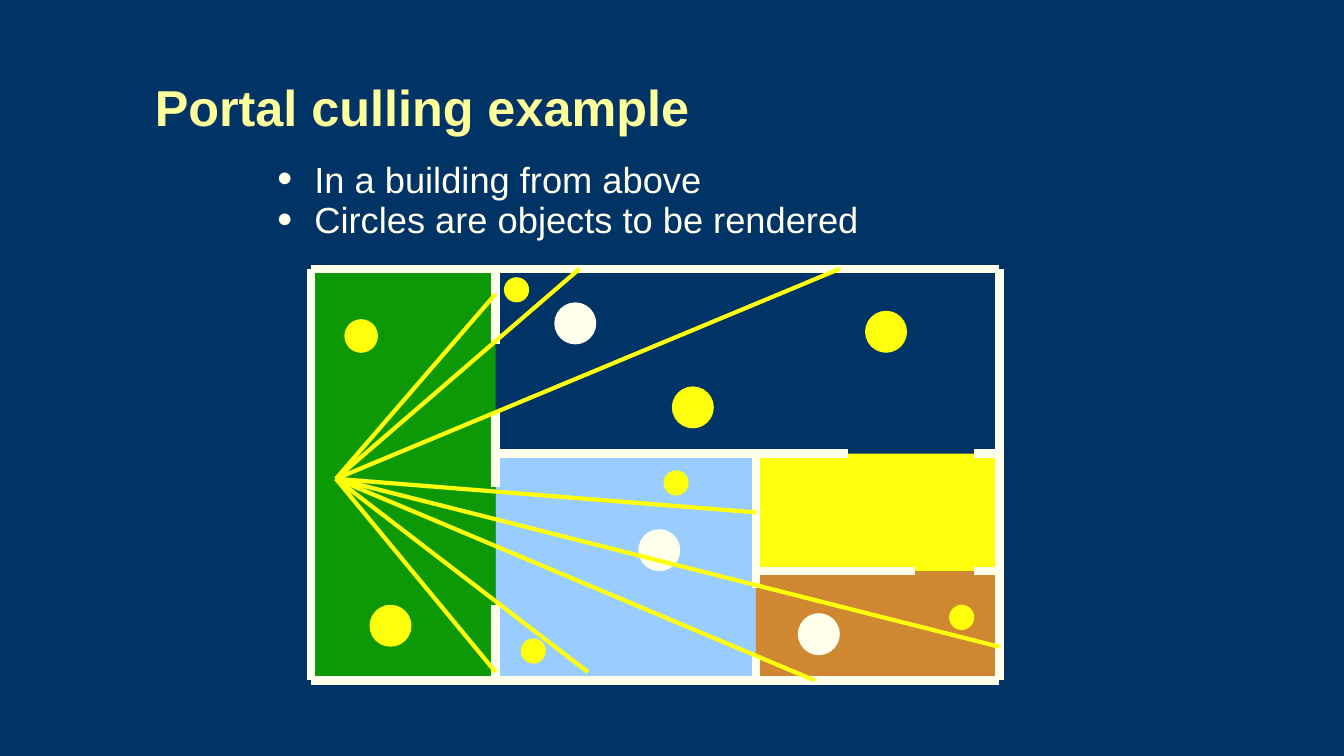
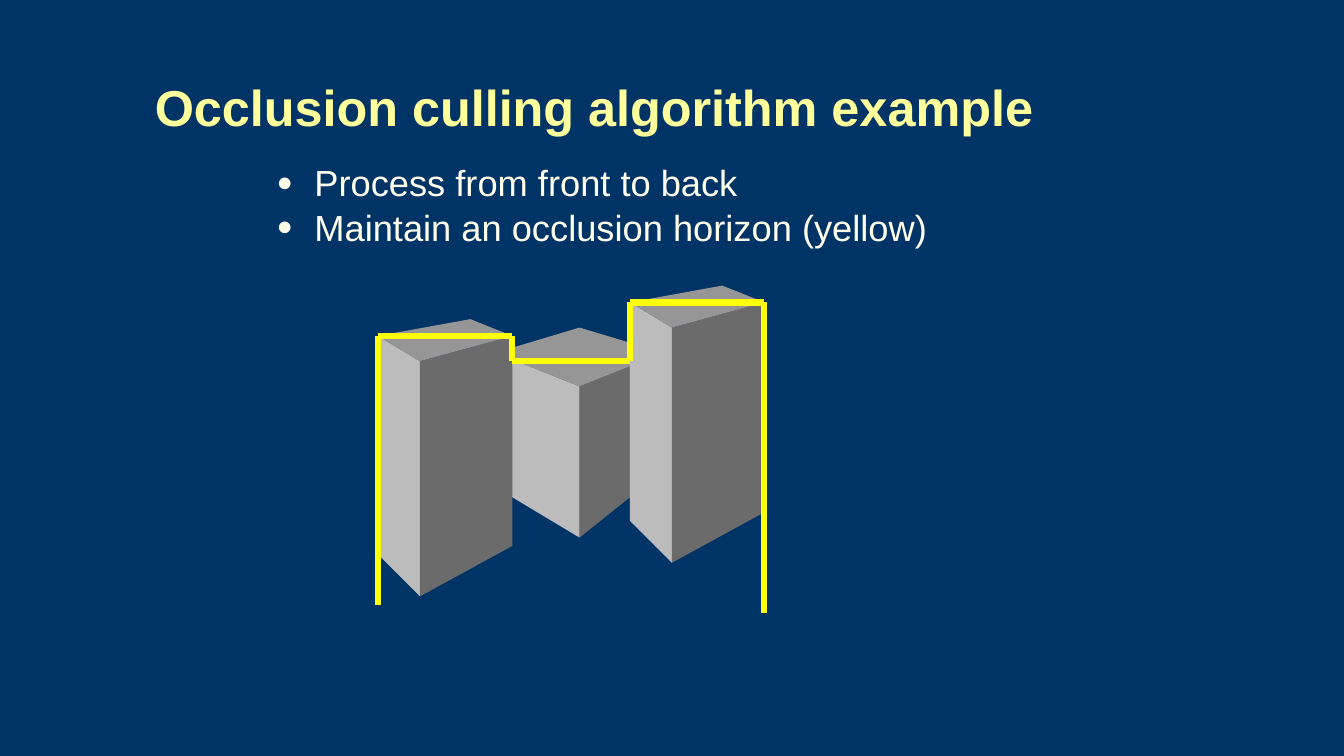
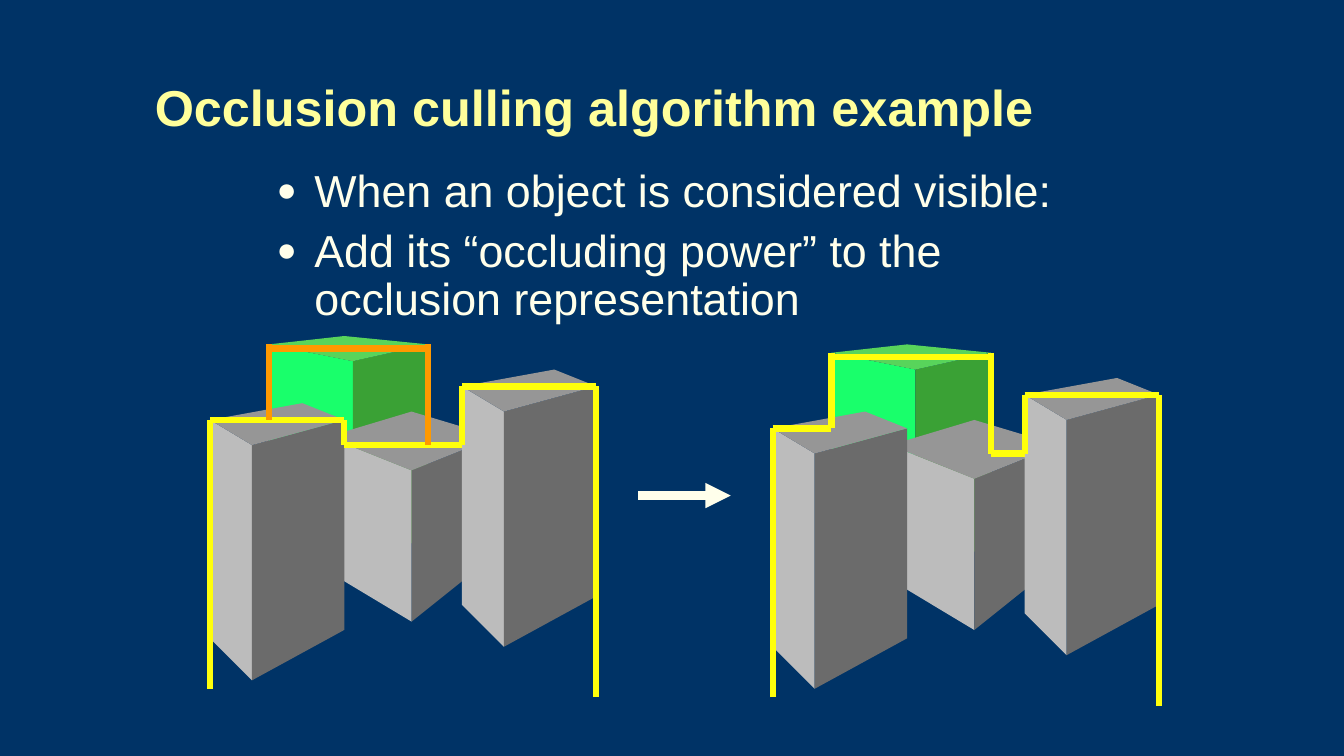
import dataclasses
import itertools

import pptx
import pptx.dml.color
import pptx.enum.shapes
import pptx.enum.text
import pptx.oxml.ns
import pptx.util
from lxml import etree

EMU_PER_PX = 9525  # 96 px to the inch
SLIDE_SIZE = (12193588, 6858000)  # EMU
BLANK_LAYOUT = 6


@dataclasses.dataclass(frozen=True)
class Theme:
    font: str = "Arial"
    background: str = "003366"
    title: str = "FFFF9B"
    ink: str = "FFFFEB"
    yellow: str = "FFFF0B"
    orange: str = "FF9900"
    green_room: str = "0C9905"
    blue_room: str = "99CCFF"
    brown_room: str = "CF8831"
    # Face colours: left, right, top
    grey_faces: tuple = ("BCBCBC", "6B6B6B", "969696")
    green_faces: tuple = ("19FF6B", "3AA135", "58D45B")
    title_size: float = 36
    small_body: float = 25.9
    large_body: float = 32
    wall_width: float = 6
    horizon_width: float = 4.5
    ray_width: float = 3


THEME = Theme()


@dataclasses.dataclass(frozen=True)
class Block:
    """A building: roof corners and base heights, measured from its left roof corner."""
    front: tuple
    right: tuple
    back: tuple
    bases: tuple  # y of the left, front and right base corners


TOWER = Block((40, 24), (128, 0), (88, -16), (208, 248, 200))
LOW_BLOCK = Block((80, 32), (160, 0), (80, -24), (128, 176, 112))
GREEN_BLOCK = Block((80, 16), (152, 0), (72, -8), (184, 208, 184))

# Horizon outlines, relative to the city box
LEFT_POST = [(0, 304), (0, 48)]
RIGHT_END = [(240, 72), (240, 16), (368, 16), (368, 312)]
GREY_HORIZON = [LEFT_POST + [(128, 48), (128, 72)] + RIGHT_END]
GREEN_LEFT = [(56, 48), (56, -24)]
GREEN_RIGHT = [(208, -24), (208, 72)]
GREEN_TOP = [(56, -20), (208, -20)]
GREEN_HORIZON = [GREEN_LEFT, GREEN_RIGHT, GREEN_TOP]
MERGED_HORIZON = [LEFT_POST + GREEN_LEFT, GREEN_RIGHT + RIGHT_END, GREEN_TOP]


def px(value):
    return pptx.util.Emu(round(value * EMU_PER_PX))


def rgb(color):
    return pptx.dml.color.RGBColor.from_string(color)


# Basic parts
def paint(shape, color):
    shape.shadow.inherit = False
    shape.fill.solid()
    shape.fill.fore_color.rgb = rgb(color)
    shape.line.fill.background()


def add_preset(slide, kind, left, top, width, height, color):
    paint(slide.shapes.add_shape(kind, px(left), px(top), px(width), px(height)), color)


def add_polygon(slide, points, color):
    builder = slide.shapes.build_freeform(*points[0], scale=EMU_PER_PX)
    builder.add_line_segments(points[1:], close=True)
    paint(builder.convert_to_shape(), color)


def add_line(slide, start, end, color, width, arrow=False):
    connector = slide.shapes.add_connector(
        pptx.enum.shapes.MSO_CONNECTOR.STRAIGHT, *map(px, (*start, *end)))
    connector.line.color.rgb = rgb(color)
    connector.line.width = pptx.util.Pt(width)
    if arrow:
        etree.SubElement(connector.line._get_or_add_ln(),
                         pptx.oxml.ns.qn("a:tailEnd"), type="triangle")
    etree.SubElement(connector._element.spPr, pptx.oxml.ns.qn("a:effectLst"))


def add_text(slide, left, top, width, height, lines, size, color, spacing, bold=False):
    text_frame = slide.shapes.add_textbox(px(left), px(top), px(width), px(height)).text_frame
    text_frame.word_wrap = True
    text_frame.text = "\n".join(lines)
    for paragraph in text_frame.paragraphs:
        paragraph.line_spacing = spacing
        for run in paragraph.runs:
            run.font.name = THEME.font
            run.font.size = pptx.util.Pt(size)
            run.font.bold = bold
            run.font.color.rgb = rgb(color)
    return text_frame


def add_bullet(paragraph):
    properties = paragraph._p.get_or_add_pPr()
    properties.set("marL", str(px(36)))
    properties.set("indent", str(px(-36)))
    bullet_color = etree.SubElement(properties, pptx.oxml.ns.qn("a:buClr"))
    etree.SubElement(bullet_color, pptx.oxml.ns.qn("a:srgbClr"), val=THEME.ink)
    etree.SubElement(properties, pptx.oxml.ns.qn("a:buSzPct"), val="75000")
    etree.SubElement(properties, pptx.oxml.ns.qn("a:buFont"), typeface=THEME.font)
    etree.SubElement(properties, pptx.oxml.ns.qn("a:buChar"), char="●")


# Title and bullets, shared by all slides
def add_text_slide(presentation, title, bullets, height, size, spacing, gap):
    slide = presentation.slides.add_slide(presentation.slide_layouts[BLANK_LAYOUT])
    heading = add_text(slide, 138, 16, 1120, 120, [title], THEME.title_size,
                       THEME.title, 0.9, bold=True)
    heading.vertical_anchor = pptx.enum.text.MSO_ANCHOR.BOTTOM
    body = add_text(slide, 254, 156, 840, height, bullets, size, THEME.ink, spacing)
    for index, paragraph in enumerate(body.paragraphs):
        if index:
            paragraph.space_before = pptx.util.Pt(gap)
        add_bullet(paragraph)
    return slide


# Floor plan with the view rays
def add_floor_plan(slide, left, top, width, height):
    hall, side, middle, lower = 176, 424, 176, 288  # inner wall positions
    rooms = [
        (side, middle, width, lower, THEME.yellow),
        (hall, middle, side, height, THEME.blue_room),
        (side, lower, width, height, THEME.brown_room),
        (0, 0, hall, height, THEME.green_room),
    ]
    walls = [
        (0, 0, 0, height), (0, height, width, height),
        (0, 0, width, 0), (width, 0, width, height),
        (hall, 0, hall, 72), (hall, 136, hall, 208), (hall, 320, hall, height),
        (hall, middle, 512, middle), (632, middle, width, middle),
        (side, middle, side, 304), (side, 368, side, height),
        (side, lower, 576, lower), (632, lower, width, lower),
    ]
    hidden = [(32, 48, 32), (56, 320, 40), (184, 8, 24), (344, 112, 40), (528, 40, 40),
              (336, 192, 24), (200, 352, 24), (608, 320, 24)]
    visible = [(232, 32, 40), (312, 248, 40), (464, 328, 40)]
    viewer = (24, 200)
    ray_ends = [(hall, 24), (hall, 384), (256, 0), (504, 0),
                (side, 232), (264, 384), (480, height), (width, 360)]

    for x1, y1, x2, y2, color in rooms:
        add_preset(slide, pptx.enum.shapes.MSO_SHAPE.RECTANGLE,
                   left + x1, top + y1, x2 - x1, y2 - y1, color)
    for x1, y1, x2, y2 in walls:
        add_line(slide, (left + x1, top + y1), (left + x2, top + y2),
                 THEME.ink, THEME.wall_width)
    for circles, color in ((hidden, THEME.yellow), (visible, THEME.ink)):
        for x, y, diameter in circles:
            add_preset(slide, pptx.enum.shapes.MSO_SHAPE.OVAL,
                       left + x, top + y, diameter, diameter, color)
    for x, y in ray_ends:
        add_line(slide, (left + viewer[0], top + viewer[1]), (left + x, top + y),
                 THEME.yellow, THEME.ray_width)


# City blocks and occlusion horizon
def add_block(slide, left, top, block, colors):
    corner, front, right, back = (
        (left + x, top + y) for x, y in ((0, 0), block.front, block.right, block.back))
    base_left, base_front, base_right = (
        (point[0], top + y) for point, y in zip((corner, front, right), block.bases))
    faces = [(corner, base_left, base_front, front),
             (front, base_front, base_right, right),
             (corner, front, right, back)]
    for points, color in zip(faces, colors):
        add_polygon(slide, points, color)


def add_city(slide, left, top, with_green=False):
    if with_green:
        add_block(slide, left + 56, top - 24, GREEN_BLOCK, THEME.green_faces)
    for x, y, block in ((112, 64, LOW_BLOCK), (240, 16, TOWER), (0, 48, TOWER)):
        add_block(slide, left + x, top + y, block, THEME.grey_faces)


def add_horizon(slide, left, top, outlines, color):
    for outline in outlines:
        points = [(left + x, top + y) for x, y in outline]
        for start, end in itertools.pairwise(points):
            add_line(slide, start, end, color, THEME.horizon_width)


def main():
    presentation = pptx.Presentation()
    presentation.slide_width, presentation.slide_height = map(pptx.util.Emu, SLIDE_SIZE)
    background = presentation.slide_master.background.fill
    background.solid()
    background.fore_color.rgb = rgb(THEME.background)

    # Portal culling
    slide = add_text_slide(
        presentation, "Portal culling example",
        ["In a building from above", "Circles are objects to be rendered"],
        80, THEME.small_body, 0.7, 7)
    add_floor_plan(slide, 296, 256, 656, 392)

    # Occlusion horizon
    occlusion_title = "Occlusion culling algorithm example"
    slide = add_text_slide(
        presentation, occlusion_title,
        ["Process from front to back", "Maintain an occlusion horizon (yellow)"],
        88, THEME.small_body, 0.8, 7)
    add_city(slide, 360, 272)
    add_horizon(slide, 360, 272, GREY_HORIZON, THEME.yellow)

    # Horizon before and after the green block
    slide = add_text_slide(
        presentation, occlusion_title,
        ["When an object is considered visible:",
         "Add its “occluding power” to the occlusion representation"],
        160, THEME.large_body, 0.9, 8)
    add_city(slide, 200, 352, with_green=True)
    add_horizon(slide, 200, 352, GREY_HORIZON, THEME.yellow)
    add_horizon(slide, 200, 352, GREEN_HORIZON, THEME.orange)
    add_city(slide, 736, 360, with_green=True)
    add_horizon(slide, 736, 360, MERGED_HORIZON, THEME.yellow)
    add_line(slide, (608, 472), (696, 472), THEME.ink, THEME.wall_width, arrow=True)

    presentation.save("out.pptx")


if __name__ == "__main__":
    main()
